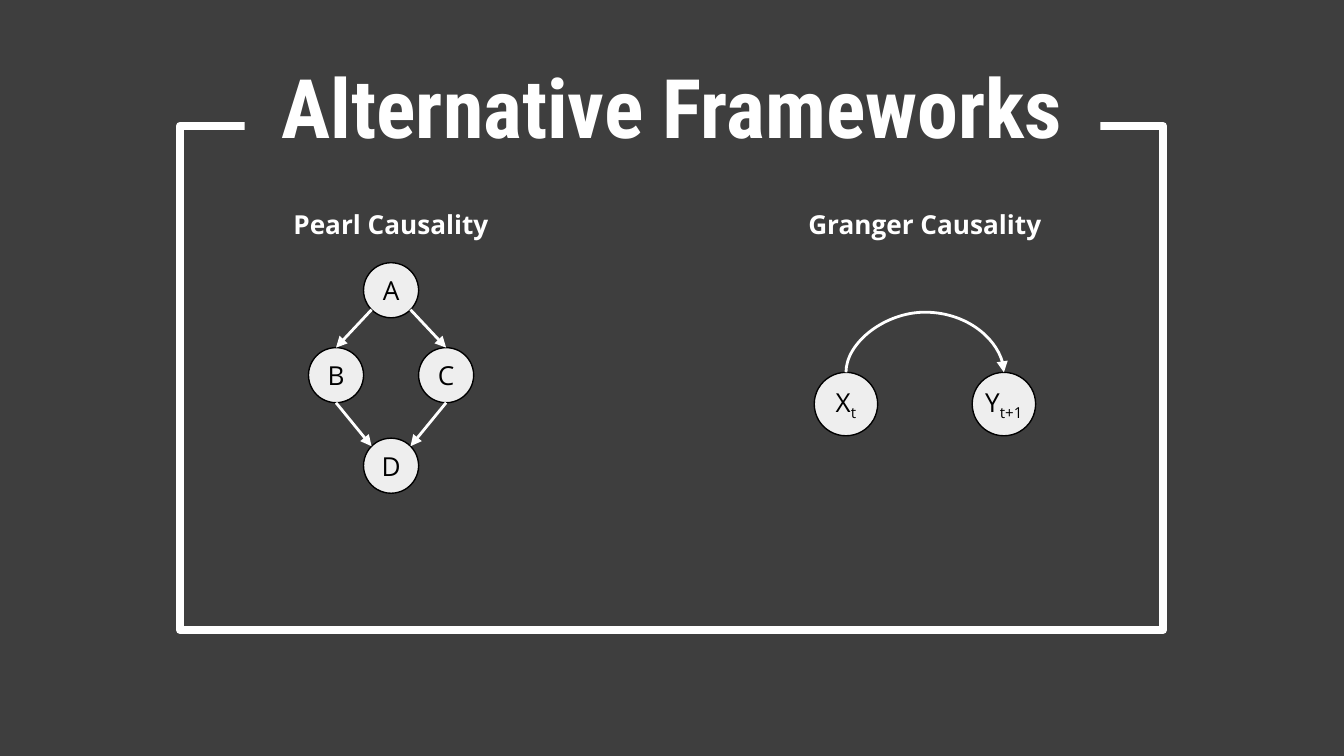
import math

import pptx
import pptx.dml.color
import pptx.enum.shapes
import pptx.enum.text
import pptx.oxml
import pptx.oxml.ns
import pptx.util

Pt = pptx.util.Pt
RGBColor = pptx.dml.color.RGBColor
Anchor = pptx.enum.text.MSO_ANCHOR
Connector = pptx.enum.shapes.MSO_CONNECTOR
Shape = pptx.enum.shapes.MSO_SHAPE

WHITE = RGBColor(0xFF, 0xFF, 0xFF)
BLACK = RGBColor(0, 0, 0)
CHARCOAL = RGBColor(0x3E, 0x3E, 0x3E)
LIGHT = RGBColor(0xEE, 0xEE, 0xEE)

# Angles on a node's rim, clockwise from the right
LOWER_RIGHT, BOTTOM, LOWER_LEFT, UPPER_LEFT, TOP, UPPER_RIGHT = 45, 90, 135, 225, 270, 315


def rim(node, angle):
    x, y, diameter = node
    a = math.radians(angle)
    return x + diameter / 2 * math.cos(a), y + diameter / 2 * math.sin(a)


def write(tf, text, sub="", font="Open Sans", size=14, color=WHITE, bold=False,
          anchor=Anchor.MIDDLE, margins=(0, 0), wrap=True, spacing=None):
    """Put one centred line in a frame, with an optional subscript."""
    tf.auto_size = pptx.enum.text.MSO_AUTO_SIZE.NONE
    tf.word_wrap = wrap
    tf.vertical_anchor = anchor
    tf.margin_left = tf.margin_right = Pt(margins[0])
    tf.margin_top = tf.margin_bottom = Pt(margins[1])
    p = tf.paragraphs[0]
    p.alignment = pptx.enum.text.PP_ALIGN.CENTER
    if spacing:
        p.line_spacing = spacing
    for part, baseline in ((text, None), (sub, "-25000")):
        if part:
            r = p.add_run()
            r.text = part
            r.font.name, r.font.size, r.font.bold = font, Pt(size), bold
            r.font.color.rgb = color
            if baseline:
                r.font._element.set("baseline", baseline)


class SlideBuilder:
    def __init__(self, prs):
        self.s = prs.slides.add_slide(prs.slide_layouts[5])
        self.s.background.fill.solid()
        self.s.background.fill.fore_color.rgb = CHARCOAL

    def frame(self, x, y, w, h):
        sp = self.s.shapes.add_shape(Shape.RECTANGLE, Pt(x), Pt(y), Pt(w), Pt(h))
        sp.shadow.inherit = False
        sp.fill.background()
        sp.line.color.rgb = WHITE
        sp.line.width = Pt(4.5)

    def title(self, text, x, y, w, h):
        """Fill the title and bring it in front of the frame it interrupts."""
        sp = self.s.shapes.title
        sp.left, sp.top, sp.width, sp.height = Pt(x), Pt(y), Pt(w), Pt(h)
        sp.fill.solid()
        sp.fill.fore_color.rgb = CHARCOAL
        write(sp.text_frame, text, font="Roboto Condensed", size=44, bold=True,
              margins=(7.2, 3.6), spacing=0.7)
        self.s.shapes._spTree.append(sp._element)

    def heading(self, text, center, y, w=155.5, h=29.5):
        sp = self.s.shapes.add_textbox(Pt(center - w / 2), Pt(y), Pt(w), Pt(h))
        write(sp.text_frame, text, bold=True, anchor=Anchor.TOP, margins=(7.2, 7.2))

    def node(self, node, text, sub=""):
        x, y, d = node
        sp = self.s.shapes.add_shape(Shape.OVAL, Pt(x - d / 2), Pt(y - d / 2), Pt(d), Pt(d))
        sp.shadow.inherit = False
        sp.fill.solid()
        sp.fill.fore_color.rgb = LIGHT
        sp.line.color.rgb = BLACK
        sp.line.width = Pt(0.75)
        write(sp.text_frame, text, sub, color=BLACK, wrap=False)

    def arrow(self, start, end, kind=Connector.STRAIGHT):
        c = self.s.shapes.add_connector(kind, *(Pt(v) for v in (*start, *end)))
        c.line.color.rgb = WHITE
        c.line.width = Pt(1.5)
        ns = pptx.oxml.ns.nsdecls("a")
        c.line._get_or_add_ln().append(
            pptx.oxml.parse_xml(f'<a:tailEnd {ns} type="triangle"/>'))
        c._element.spPr.append(pptx.oxml.parse_xml(f"<a:effectLst {ns}/>"))
        return c

    def arch(self, start, end, rise):
        """Curved arrow between two level points: a thin connector on its side."""
        thin = 0.05
        x, y = (start[0] + end[0]) / 2, start[1]
        half = (end[0] - start[0]) / 2
        c = self.arrow((x - thin / 2, y - half), (x + thin / 2, y + half), Connector.CURVE)
        spPr = c._element.spPr
        spPr.xfrm.set("rot", "16200000")
        spPr.xfrm.set("flipH", "1")
        guide = pptx.oxml.parse_xml(
            f'<a:gd {pptx.oxml.ns.nsdecls("a")} name="adj1" '
            f'fmla="val {round(-rise / thin * 100000)}"/>')
        geom = spPr.find(pptx.oxml.ns.qn("a:prstGeom"))
        geom.get_or_add_avLst().append(guide)


def main():
    prs = pptx.Presentation()
    prs.slide_width, prs.slide_height = Pt(720), Pt(405)
    slide = SlideBuilder(prs)
    slide.frame(96.5, 67.5, 526.5, 270)
    slide.title("Alternative Frameworks", 131, 39.5, 458.5, 47)

    pearl, d = 209.5, 29.5
    nodes = {
        "A": (pearl, 155.5, d),
        "B": (pearl - d, 201, d),
        "C": (pearl + d, 201, d),
        "D": (pearl, 249.5, d),
    }
    slide.heading("Pearl Causality", pearl, 104.5)
    for name, node in nodes.items():
        slide.node(node, name)
    for a, leave, b, enter in (
        ("A", LOWER_LEFT, "B", TOP),
        ("A", LOWER_RIGHT, "C", TOP),
        ("B", BOTTOM, "D", UPPER_LEFT),
        ("C", BOTTOM, "D", UPPER_RIGHT),
    ):
        slide.arrow(rim(nodes[a], leave), rim(nodes[b], enter))

    granger, gap = 495.5, 84.6
    cause = (granger - gap / 2, 216.5, 34)
    effect = (granger + gap / 2, 216.5, 34)
    slide.heading("Granger Causality", granger, 104.5)
    slide.node(cause, "X", "t")
    slide.node(effect, "Y", "t+1")
    slide.arch(rim(cause, TOP), rim(effect, TOP), 28.4)
    prs.save("out.pptx")


if __name__ == "__main__":
    main()
